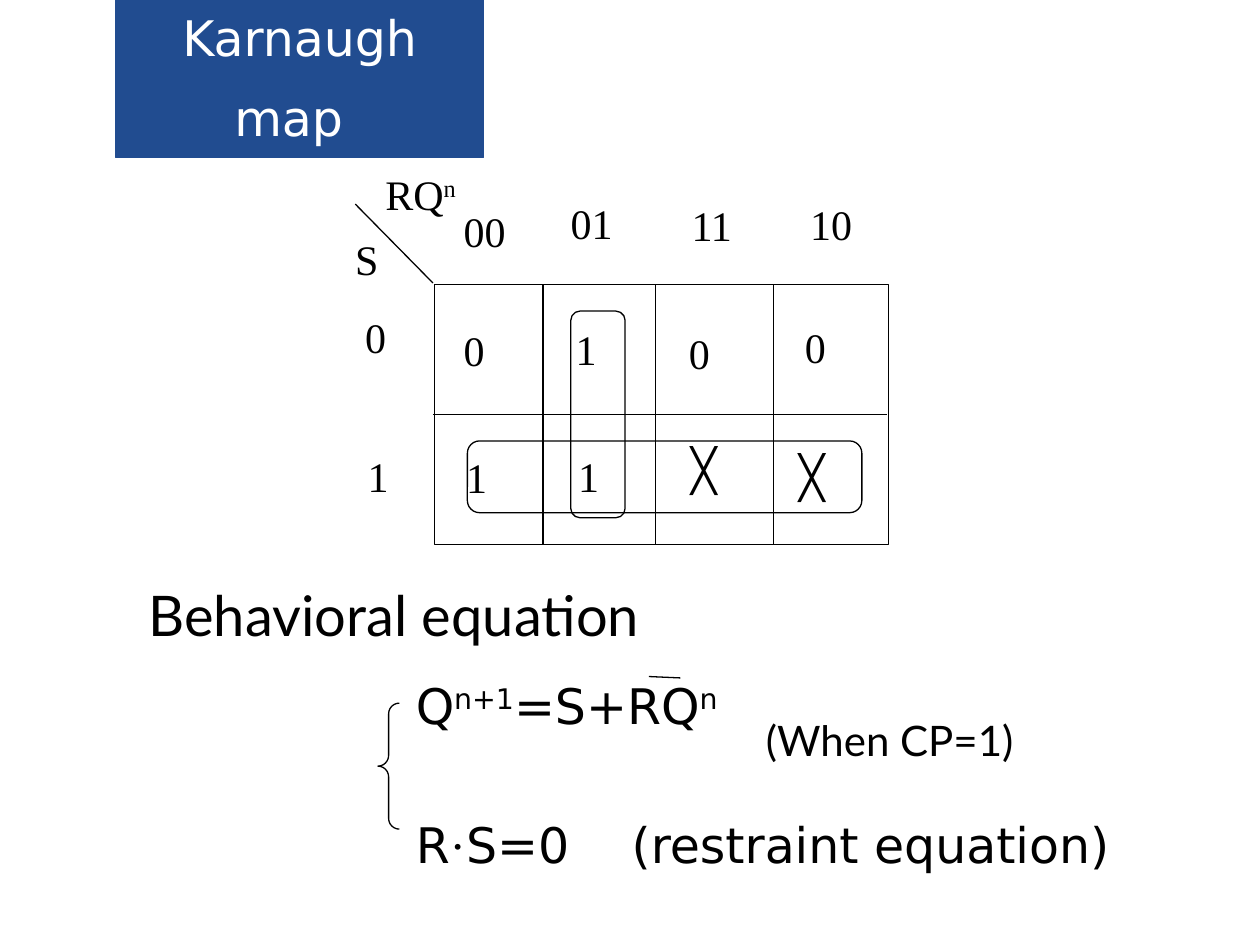
from lxml import etree
from pptx import Presentation
from pptx.dml.color import RGBColor
from pptx.enum.shapes import MSO_CONNECTOR, MSO_SHAPE
from pptx.enum.text import MSO_ANCHOR, MSO_AUTO_SIZE, PP_ALIGN
from pptx.oxml.ns import qn
from pptx.util import Pt

RECTANGLE = MSO_SHAPE.RECTANGLE
ROUNDED = MSO_SHAPE.ROUNDED_RECTANGLE
BRACE = MSO_SHAPE.LEFT_BRACE
STRAIGHT = MSO_CONNECTOR.STRAIGHT
TOP, MIDDLE = MSO_ANCHOR.TOP, MSO_ANCHOR.MIDDLE
LEFT, CENTER = PP_ALIGN.LEFT, PP_ALIGN.CENTER
NO_FIT = MSO_AUTO_SIZE.NONE

COLORS = {"ink": "000000", "paper": "FFFFFF", "title": "214C90"}
SERIF, SANS, BODY = "Times New Roman", "DejaVu Sans", "Lato"

MAP_LEFT, MAP_TOP, MAP_WIDTH, MAP_HEIGHT = 248.4, 162.7, 259.2, 148.3
COLUMN_EDGES = [310.3, 374.4, 442.1]
ROW_EDGE = 236.9

MAP_LABELS = [
    ("S", 195.8, 127.4),
    ("00", 257.8, 111.6), ("01", 319, 106.6),
    ("11", 388.1, 108), ("10", 455.8, 107.3),
    ("0", 201.6, 172.1), ("1", 203, 251.3),
    ("0", 257.8, 179.3), ("1", 321.8, 178.6),
    ("0", 386.6, 181.4), ("0", 452.9, 177.8),
    ("1", 259.2, 252), ("1", 323.3, 251.3),
    ("╳", 388.1, 247.7), ("╳", 450, 251.3),
]


def rgb(name):
    return RGBColor.from_string(COLORS[name])


def add_span(para, text, font=SERIF, size=24, color="ink", raised=False):
    span = para.add_run()
    span.text = text
    span.font.name = font
    span.font.size = Pt(size)
    span.font.color.rgb = rgb(color)
    if raised:
        span.font._element.set("baseline", "30000")


def add_text(shapes, text, left, top, width, height, raised="", anchor=TOP,
             align=LEFT, wrap=True, margin_top=3.6, **style):
    box = shapes.add_textbox(Pt(left), Pt(top), Pt(width), Pt(height))
    frame = box.text_frame
    frame.word_wrap = wrap
    frame.auto_size = NO_FIT
    frame.vertical_anchor = anchor
    frame.margin_top = Pt(margin_top)
    para = frame.paragraphs[0]
    para.alignment = align
    add_span(para, text, **style)
    if raised:
        add_span(para, raised, raised=True, **style)
    return box


def add_outline(shapes, kind, left, top, width, height, adjustments=(), fill=None):
    shape = shapes.add_shape(kind, Pt(left), Pt(top), Pt(width), Pt(height))
    shape.shadow.inherit = False
    for index, value in enumerate(adjustments):
        shape.adjustments[index] = value
    if fill:
        shape.fill.solid()
        shape.fill.fore_color.rgb = rgb(fill)
    else:
        shape.fill.background()
    shape.line.color.rgb = rgb("ink")
    shape.line.width = Pt(0.75)


def add_line(shapes, x1, y1, x2, y2):
    line = shapes.add_connector(STRAIGHT, Pt(x1), Pt(y1), Pt(x2), Pt(y2))
    line.line.color.rgb = rgb("ink")
    line.line.width = Pt(0.75)
    etree.SubElement(line._element.spPr, qn("a:effectLst"))


def format_title(title):
    title.left, title.top, title.width, title.height = Pt(66.2), Pt(0), Pt(210.2), Pt(90)
    title.fill.solid()
    title.fill.fore_color.rgb = rgb("title")
    title.line.color.rgb = rgb("title")
    title.line.width = Pt(0.75)
    frame = title.text_frame
    frame.word_wrap = True
    frame.auto_size = NO_FIT
    frame.vertical_anchor = MIDDLE
    para = frame.paragraphs[0]
    para.alignment = CENTER
    add_span(para, "Karnaugh map", font=SANS, size=28, color="paper")
    add_span(para, " ", font=SANS, size=40, color="paper")


def add_karnaugh_map(page):
    shapes = page.shapes.add_group_shape().shapes
    add_outline(shapes, RECTANGLE, MAP_LEFT, MAP_TOP, MAP_WIDTH, MAP_HEIGHT, fill="paper")
    add_line(shapes, MAP_LEFT - 1, ROW_EDGE, MAP_LEFT + MAP_WIDTH - 1, ROW_EDGE)
    for x in COLUMN_EDGES:
        add_line(shapes, x, MAP_TOP, x, MAP_TOP + MAP_HEIGHT)
    add_line(shapes, 203, 116.6, MAP_LEFT - 1, MAP_TOP - 1)
    add_text(shapes, "RQ", 213.1, 90, 86.4, 46.8, raised="n", margin_top=6)
    for text, left, top in MAP_LABELS:
        add_text(shapes, text, left, top, 48, 46.8, margin_top=6)
    add_outline(shapes, ROUNDED, 267.1, 252, 225.4, 41, [0.17])
    add_outline(shapes, ROUNDED, 326.2, 177.8, 31, 118.1, [0.17])


def add_equations(page):
    style = {"font": SANS, "size": 28}
    box = add_text(page.shapes, "Q", 230.5, 382.3, 428.2, 133.9, raised="n+1", **style)
    first = box.text_frame.paragraphs[0]
    add_span(first, "=S+RQ", **style)
    add_span(first, "n", raised=True, **style)
    second = box.text_frame.add_paragraph()
    second.space_before = Pt(46)
    add_span(second, "R", **style)
    add_span(second, "·", size=28)
    add_span(second, "S=0\t(restraint equation)", **style)
    stops = etree.SubElement(second._p.get_or_add_pPr(), qn("a:tabLst"))
    etree.SubElement(stops, qn("a:tab"), pos=str(Pt(123.4)), algn="l")
    add_line(page.shapes, 370.8, 386.6, 388.8, 387.4)
    add_outline(page.shapes, BRACE, 216, 401.8, 12.2, 72, [0.5, 0.5])


def main():
    deck = Presentation()
    deck.slide_width, deck.slide_height = Pt(720), Pt(540)
    page = deck.slides.add_slide(deck.slide_layouts[5])
    format_title(page.shapes.title)
    add_karnaugh_map(page)
    add_text(page.shapes, "Behavioral equation", 77.8, 306, 640, 90,
             anchor=MIDDLE, font=BODY, size=32)
    add_equations(page)
    add_text(page.shapes, "(When CP=1)", 430.6, 404.6, 159.8, 36, wrap=False, font=BODY)
    deck.save("out.pptx")


if __name__ == "__main__":
    main()
